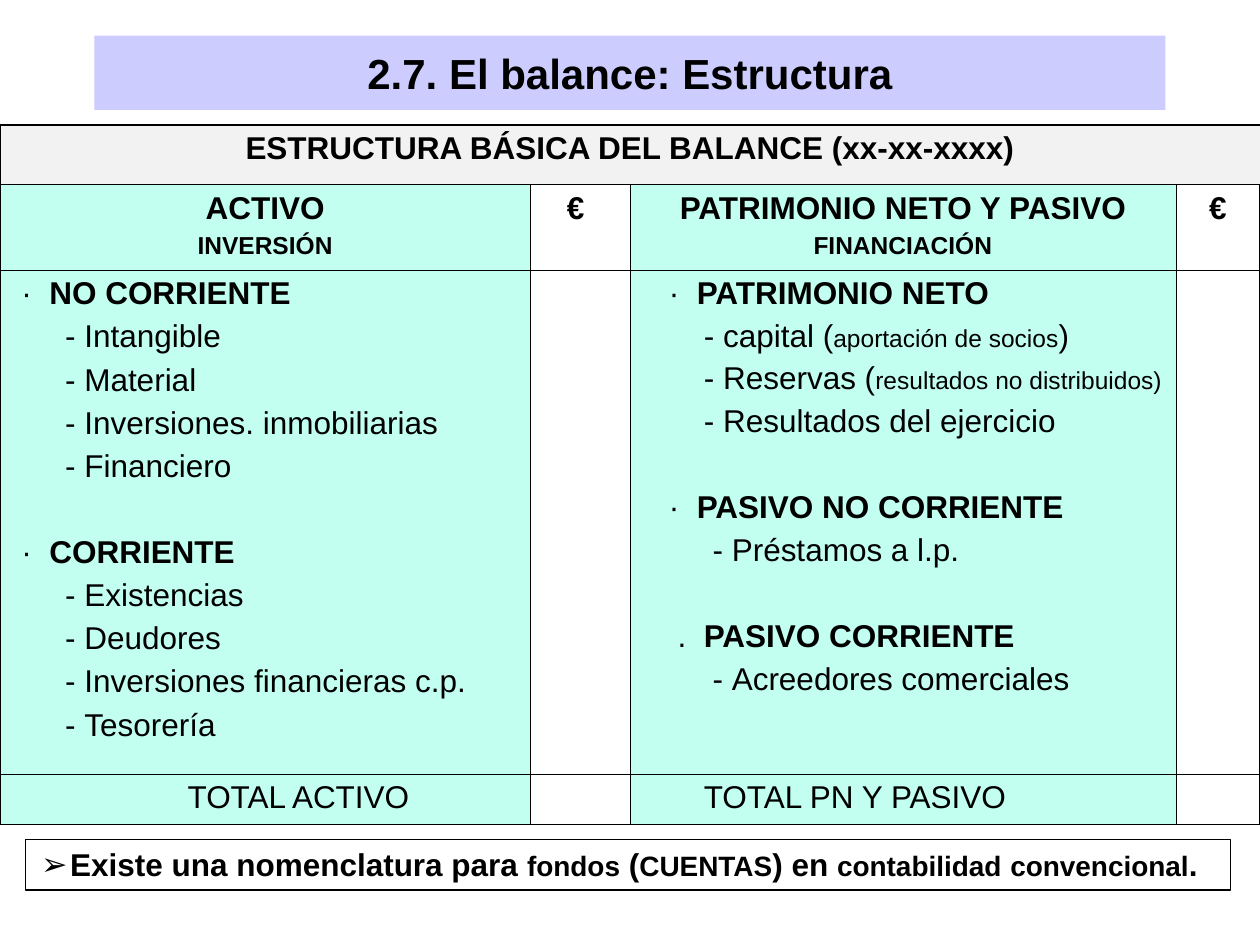
from lxml import etree
from pptx import Presentation
from pptx.dml.color import RGBColor
from pptx.enum.shapes import MSO_SHAPE
from pptx.enum.text import MSO_ANCHOR, PP_ALIGN
from pptx.oxml.ns import qn
from pptx.util import Pt

RECT = MSO_SHAPE.RECTANGLE
TOP, MIDDLE = MSO_ANCHOR.TOP, MSO_ANCHOR.MIDDLE
LEFT, CENTER = PP_ALIGN.LEFT, PP_ALIGN.CENTER

FONT, BLACK, MINT, GREY, LILAC = "Arial", "000000", "C2FFF0", "F2F2F2", "CCCCFF"
COLS = [303, 57, 312, 48]
ROWS = [34, 49, 288, 28.8]
THICK, THIN = 1.08, 0.45
GAP = 29  # space above a new group


def color(code):
    return RGBColor.from_string(code)


def line(runs, size=18, bold=False, align=LEFT, before=4.5,
         mark=None, left=0, hang=0):
    """Describe one paragraph; runs are texts or (text, size) pairs."""
    if isinstance(runs, str):
        runs = [runs]
    return dict(runs=runs, size=size, bold=bold, align=align, before=before,
                mark=mark, left=left, hang=hang)


def head(text, left, mark="·", hang=16, before=GAP):
    return line(text, bold=True, mark=mark, left=left, hang=hang, before=before)


def item(runs, left, before=4.5):
    return line(runs, mark="-", left=left, hang=11, before=before)


def title(text, size=18, before=4.5):
    return line(text, size, True, CENTER, before)


def write(frame, lines):
    frame.word_wrap = True
    for i, spec_line in enumerate(lines):
        para = frame.paragraphs[0] if i == 0 else frame.add_paragraph()
        fill_para(para, spec_line, i == 0)


def fill_para(para, data, first):
    props = para._p.get_or_add_pPr()
    props.set("marL", str(Pt(data["left"])))
    props.set("indent", str(-Pt(data["hang"])))
    para.alignment = data["align"]
    para.space_before = Pt(0 if first else data["before"])
    if data["mark"]:
        etree.SubElement(props, qn("a:buFont"), typeface=FONT)
        etree.SubElement(props, qn("a:buChar"), char=data["mark"])
    font = para.font
    font.name, font.size, font.bold = FONT, Pt(data["size"]), data["bold"]
    font.color.rgb = color(BLACK)
    for part in data["runs"]:
        run = para.add_run()
        if isinstance(part, str):
            run.text = part
        else:
            run.text, run.font.size = part[0], Pt(part[1])


def add_box(slide, place, lines, fill=None, edge=None, anchor=TOP):
    box = slide.shapes.add_shape(RECT, *map(Pt, place))
    box.shadow.inherit = False
    if fill:
        box.fill.solid()
        box.fill.fore_color.rgb = color(fill)
    else:
        box.fill.background()
    if edge:
        box.line.color.rgb = color(BLACK)
        box.line.width = Pt(edge)
    else:
        box.line.fill.background()
    box.text_frame.vertical_anchor = anchor
    write(box.text_frame, lines)
    return box


def add_edges(cell, row, col):
    outer = {"L": col == 0, "R": col == len(COLS) - 1,
             "T": row == 0, "B": row == len(ROWS) - 1}
    props = cell._tc.get_or_add_tcPr()
    for side, thick in outer.items():
        edge = etree.SubElement(props, qn(f"a:ln{side}"),
                                w=str(Pt(THICK if thick else THIN)))
        solid = etree.SubElement(edge, qn("a:solidFill"))
        etree.SubElement(solid, qn("a:srgbClr"), val=BLACK)


def add_grid(slide, left, top, texts):
    table = slide.shapes.add_table(len(ROWS), len(COLS), Pt(left), Pt(top),
                                   Pt(sum(COLS)), Pt(sum(ROWS))).table
    table.first_row = table.horz_banding = False
    for col, width in zip(table.columns, COLS):
        col.width = Pt(width)
    for row, height in zip(table.rows, ROWS):
        row.height = Pt(height)
    for r in range(len(ROWS)):
        for c in range(len(COLS)):
            cell = table.cell(r, c)
            add_edges(cell, r, c)
            if r == 0 or c % 2 == 0:
                cell.fill.solid()
                cell.fill.fore_color.rgb = color(MINT if r else GREY)
            else:
                cell.fill.background()
            if (r, c) in texts:
                write(cell.text_frame, texts[r, c])
            else:
                cell.margin_top = cell.margin_bottom = 0
    table.cell(0, 0).merge(table.cell(0, len(COLS) - 1))


def main():
    deck = Presentation()
    deck.slide_width, deck.slide_height = Pt(720), Pt(540)
    slide = deck.slides.add_slide(deck.slide_layouts[6])

    # Balance sheet
    fixed = ["Intangible", "Material", "Inversiones. inmobiliarias", "Financiero"]
    current = ["Existencias", "Deudores", "Inversiones financieras c.p.", "Tesorería"]
    assets = [head("NO CORRIENTE", 21), *(item(t, 41) for t in fixed),
              head("CORRIENTE", 21), *(item(t, 41) for t in current)]
    claims = [
        head("PATRIMONIO NETO", 31),
        item(["capital (", ("aportación de socios", 14), ")"], 46),
        item(["Reservas (", ("resultados no distribuidos)", 14)], 46, 3.5),
        item("Resultados del ejercicio", 46),
        head("PASIVO NO CORRIENTE", 31),
        item("Préstamos a l.p.", 51),
        head("PASIVO CORRIENTE", 35, ".", 15),
        item("Acreedores comerciales", 51),
    ]
    add_grid(slide, 0, 71.3, {
        (0, 0): [title("ESTRUCTURA BÁSICA DEL BALANCE (xx-xx-xxxx)")],
        (1, 0): [title("ACTIVO"), title("INVERSIÓN", 14, 3.5)],
        (1, 1): [title("€ ")],
        (1, 2): [title("PATRIMONIO NETO Y PASIVO"), title("FINANCIACIÓN", 14, 3.5)],
        (1, 3): [title("€")],
        (2, 0): assets,
        (2, 2): claims,
        (3, 0): [line("TOTAL ACTIVO", left=100)],
        (3, 2): [line("TOTAL PN Y PASIVO", left=35)],
    })

    # Slide title
    add_box(slide, (54, 20.3, 612, 42.5),
            [title("2.7. El balance: Estructura", 24)], LILAC, anchor=MIDDLE)

    # Closing note
    note = ["Existe una nomenclatura para ", ("fondos", 16), " (", ("CUENTAS", 16),
            ") en ", ("contabilidad", 16), " ", ("convencional", 16), "."]
    box = add_box(slide, (14.4, 479.6, 689, 29),
                  [line(note, bold=True, align=CENTER, mark="➢", left=16.6, hang=16.6)],
                  edge=0.75)
    box.text_frame.margin_right = Pt(17)

    deck.save("out.pptx")


if __name__ == "__main__":
    main()
